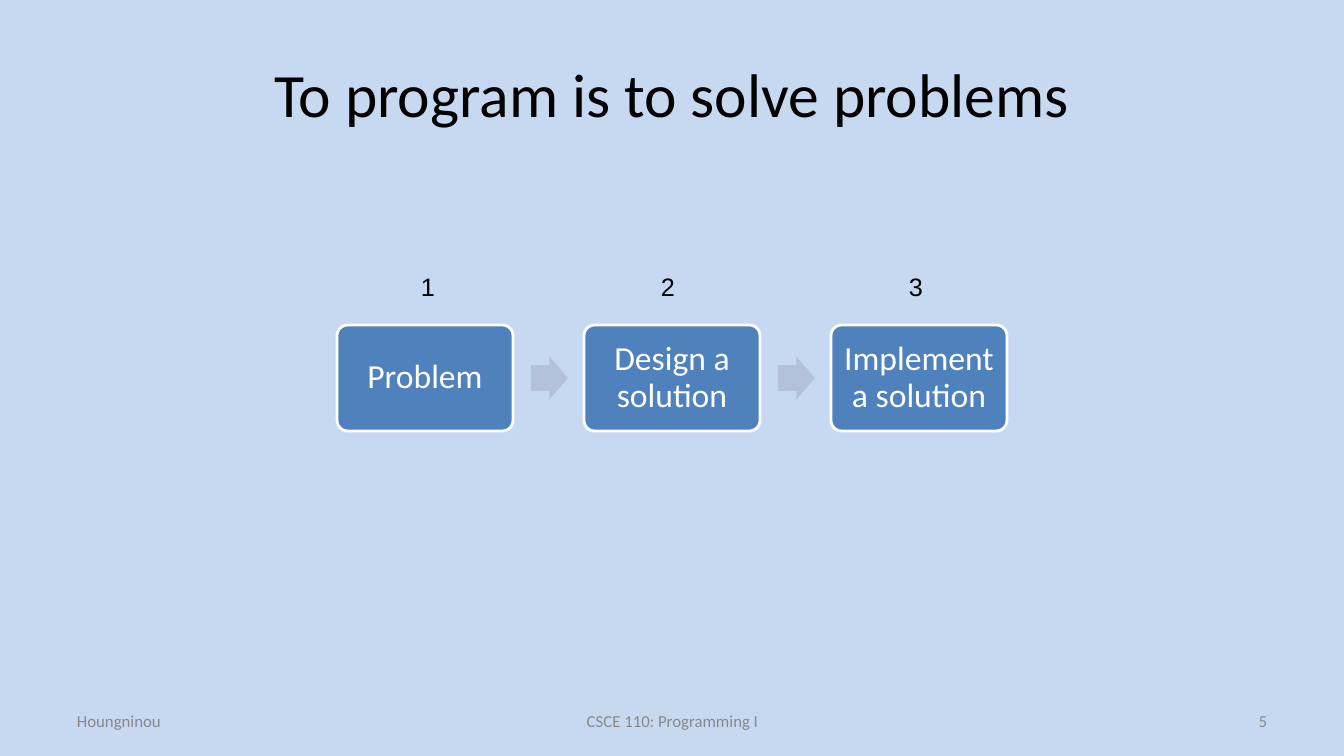
from pptx import Presentation
from pptx.dml.color import RGBColor
from pptx.enum.shapes import MSO_SHAPE as SHAPE
from pptx.enum.text import MSO_ANCHOR as ANCHOR, PP_ALIGN as ALIGN
from pptx.util import Pt

TITLE = "To program is to solve problems"
STEPS = [
    ("1", 411, "Problem"),
    ("2", 651, "Design a solution"),
    ("3", 899, "Implement a solution"),
]
FOOTER = [
    ("Houngninou", 67, 314, ALIGN.LEFT),
    ("CSCE 110: Programming I", 460, 425, ALIGN.CENTER),
    ("5", 963, 314, ALIGN.RIGHT),
]

BACKGROUND = RGBColor(0xC6, 0xD9, 0xF1)
BLACK = RGBColor(0, 0, 0)
WHITE = RGBColor(0xFF, 0xFF, 0xFF)
GRAY = RGBColor(0x89, 0x89, 0x89)
BLUE = RGBColor(0x4F, 0x81, 0xBD)
ARROW = RGBColor(0xB3, 0xC1, 0xDB)

STEP_LEFT, STEP_TOP, STEP_W, STEP_H, PITCH = 337, 325, 176, 106, 247
ARROW_W, ARROW_H, ARROW_GAP = 37, 43, 18


def px(n):
    return round(n * 914400 / 100.8)


def write(sp, text, size, color, font="Calibri", align=ALIGN.CENTER,
          anchor=ANCHOR.MIDDLE, wrap=True, inset=None, spacing=None):
    tf = sp.text_frame
    tf.word_wrap = wrap
    tf.vertical_anchor = anchor
    if inset is not None:
        tf.margin_left = tf.margin_right = px(inset)
        tf.margin_top = tf.margin_bottom = px(inset)
    p = tf.paragraphs[0]
    p.alignment = align
    if spacing:
        p.line_spacing = spacing
    r = p.add_run()
    r.text = text
    r.font.size = Pt(size)
    r.font.name = font
    r.font.color.rgb = color


def add_box(s, x, y, w, h, text, size, color, **fmt):
    sp = s.shapes.add_textbox(px(x), px(y), px(w), px(h))
    write(sp, text, size, color, **fmt)


def add_figure(s, kind, x, y, w, h, fill, adjustments, line=None):
    sp = s.shapes.add_shape(kind, px(x), px(y), px(w), px(h))
    sp.shadow.inherit = False
    for i, value in enumerate(adjustments):
        sp.adjustments[i] = value
    sp.fill.solid()
    sp.fill.fore_color.rgb = fill
    if line is None:
        sp.line.fill.background()
    else:
        sp.line.color.rgb = line
        sp.line.width = Pt(2)
    return sp


def main():
    prs = Presentation()
    prs.slide_width, prs.slide_height = px(1344), px(756)
    s = prs.slides.add_slide(prs.slide_layouts[6])
    s.background.fill.solid()
    s.background.fill.fore_color.rgb = BACKGROUND

    add_box(s, 67, 30, 1210, 126, TITLE, 44, BLACK)

    for i, (number, number_left, label) in enumerate(STEPS):
        x = STEP_LEFT + i * PITCH
        sp = add_figure(s, SHAPE.ROUNDED_RECTANGLE, x, STEP_TOP, STEP_W, STEP_H,
                        BLUE, [0.1], line=WHITE)
        write(sp, label, 24, WHITE, inset=8, spacing=0.9)
        if i < len(STEPS) - 1:
            add_figure(s, SHAPE.RIGHT_ARROW, x + STEP_W + ARROW_GAP,
                       STEP_TOP + (STEP_H - ARROW_H) / 2, ARROW_W, ARROW_H,
                       ARROW, [0.6, 0.5])
        add_box(s, number_left, 266, 34, 40, number, 18, BLACK, font="Arial",
                align=ALIGN.LEFT, anchor=ANCHOR.TOP, wrap=False)

    for text, x, w, align in FOOTER:
        add_box(s, x, 701, w, 40, text, 12, GRAY, align=align)

    prs.save("out.pptx")


if __name__ == "__main__":
    main()
